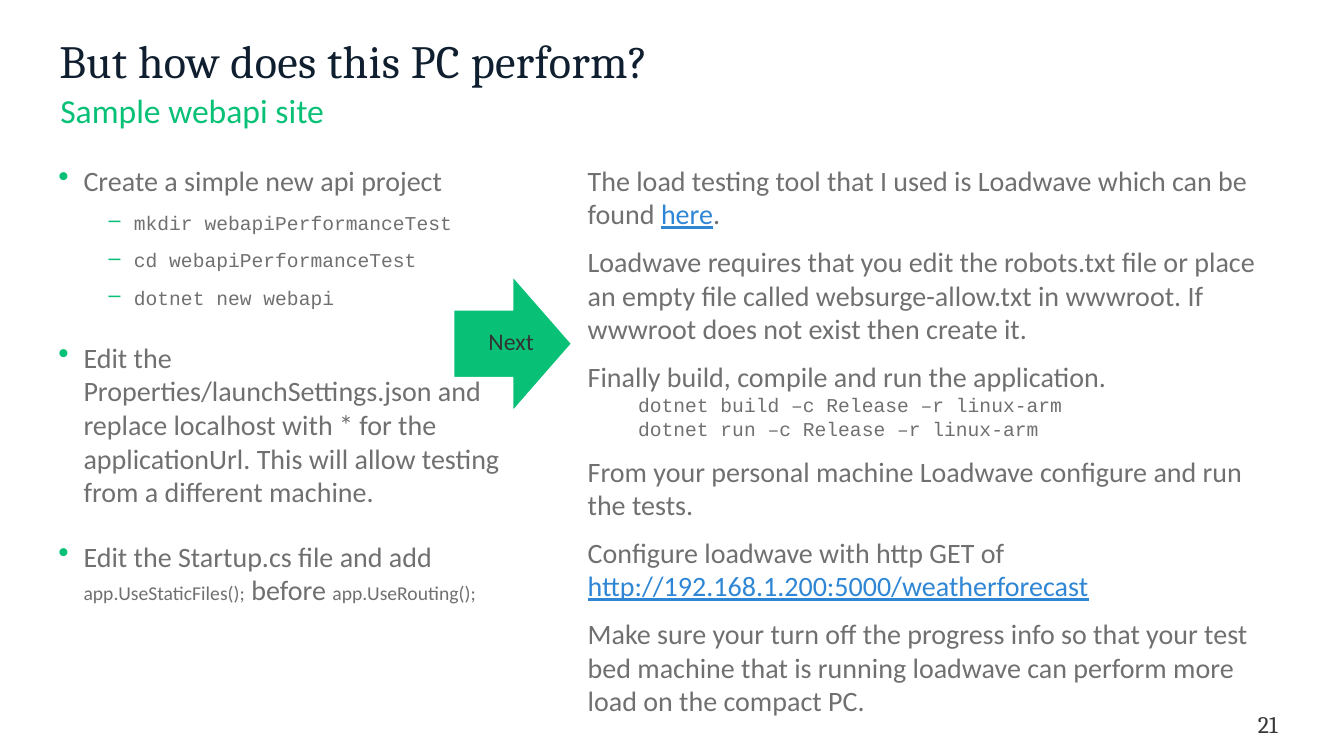
from lxml import etree
from pptx import Presentation
from pptx.dml.color import RGBColor
from pptx.enum.shapes import MSO_SHAPE
from pptx.enum.text import MSO_ANCHOR, PP_ALIGN
from pptx.oxml.ns import qn
from pptx.util import Inches, Pt

RIGHT, CENTER = PP_ALIGN.RIGHT, PP_ALIGN.CENTER
TOP, MIDDLE = MSO_ANCHOR.TOP, MSO_ANCHOR.MIDDLE
ARROW = MSO_SHAPE.RIGHT_ARROW

GREEN, GRAY, BLUE = "08C177", "707070", "2F86D5"
NAVY, DARK, CHARCOAL, WHITE = "101F2F", "333333", "383838", "FFFFFF"

# Span styles
BODY = dict(size=20, font="Calibri", color=GRAY)
SMALL = dict(BODY, size=14)
CODE = dict(SMALL, font="Courier New")
LINK = dict(BODY, color=BLUE, underline=True)

# Paragraph styles
BULLET = dict(bullet="•", left=0.25, before=22)
DASH = dict(bullet="–", left=0.75, before=10)
PLAIN = dict(before=10)
TIGHT = dict(before=0)

# Each paragraph: its style, then its spans as (text, style)
STEPS = [
    (BULLET, [("Create a simple new api project", BODY)]),
    (DASH, [("mkdir webapiPerformanceTest", CODE)]),
    (DASH, [("cd webapiPerformanceTest", CODE)]),
    (DASH, [("dotnet new webapi", CODE)]),
    (BULLET, [("Edit the Properties/launchSettings.json and replace localhost with * "
               "for the applicationUrl. This will allow testing from a different machine.", BODY)]),
    (BULLET, [("Edit the Startup.cs file and add ", BODY), ("app.UseStaticFiles();", SMALL),
              (" before ", BODY), ("app.UseRouting();", SMALL)]),
]
LOAD_TEST = [
    (PLAIN, [("The load testing tool that I used is Loadwave which can be found ", BODY),
             ("here", LINK), (".", BODY)]),
    (PLAIN, [("Loadwave requires that you edit the robots.txt file or place an empty file called "
              "websurge-allow.txt in wwwroot. If wwwroot does not exist then create it.", BODY)]),
    (PLAIN, [("Finally build, compile and run the application.", BODY)]),
    (TIGHT, [("\tdotnet build –c Release –r linux-arm", CODE)]),
    (TIGHT, [("\tdotnet run –c Release –r linux-arm", CODE)]),
    (PLAIN, [("From your personal machine Loadwave configure and run the tests.", BODY)]),
    (PLAIN, [("Configure loadwave with http GET of ", BODY),
             ("http://192.168.1.200:5000/weatherforecast", LINK)]),
    (PLAIN, [("Make sure your turn off the progress info so that your test bed machine that is "
              "running loadwave can perform more load on the compact PC.", BODY)]),
]
TITLE = "But how does this PC perform?"
SUBTITLE = "Sample webapi site"
PAGE_NUMBER = "21"
NEXT = "Next"


def rgb(color):
    return RGBColor.from_string(color)


def add_bullet(para, mark, left):
    """Give the paragraph a green mark that hangs a quarter inch left of its text."""
    props = para._p.get_or_add_pPr()
    props.set("marL", str(Inches(left)))
    props.set("indent", str(Inches(-0.25)))
    color = etree.SubElement(props, qn("a:buClr"))
    etree.SubElement(color, qn("a:srgbClr"), val=GREEN)
    etree.SubElement(props, qn("a:buSzPct"), val="110000")
    etree.SubElement(props, qn("a:buChar"), char=mark)


def add_span(para, text, size, font, color, underline=None, spacing=None):
    span = para.add_run()
    span.text = text
    span.font.size = Pt(size)
    span.font.name = font
    span.font.color.rgb = rgb(color)
    span.font.underline = underline
    if spacing:
        span.font._element.set("spc", str(round(spacing * 100)))


def add_text(shapes, place, paragraphs, anchor=TOP, align=None, line_spacing=None):
    box = shapes.add_textbox(*map(Inches, place))
    frame = box.text_frame
    frame.word_wrap = True
    frame.vertical_anchor = anchor
    for index, (style, spans) in enumerate(paragraphs):
        para = frame.add_paragraph() if index else frame.paragraphs[0]
        if "bullet" in style:
            add_bullet(para, style["bullet"], style["left"])
        para.space_before = Pt(style["before"] if index else 0)
        para.alignment = align
        para.line_spacing = line_spacing
        for text, span_style in spans:
            add_span(para, text, **span_style)
    return box


def add_line(shapes, place, text, size, font, color, spacing=None, **layout):
    """Add a text box that holds one line in one format."""
    style = dict(size=size, font=font, color=color, spacing=spacing)
    return add_text(shapes, place, [(TIGHT, [(text, style)])], **layout)


def add_next_arrow(page):
    group = page.shapes.add_group_shape()
    arrow = group.shapes.add_shape(ARROW, *map(Inches, (4.5, 2.74, 1.17, 1.34)))
    arrow.shadow.inherit = False
    arrow.fill.solid()
    arrow.fill.fore_color.rgb = rgb(GREEN)
    arrow.line.color.rgb = rgb(WHITE)
    arrow.line.width = Pt(1)
    label = add_line(group.shapes, (4.59, 3.07, 0.96, 0.67), NEXT, 17, "Calibri", DARK,
                     anchor=MIDDLE, align=CENTER, line_spacing=0.9)
    frame = label.text_frame
    frame.margin_left = frame.margin_right = 0
    frame.margin_top = frame.margin_bottom = Inches(0.19)


def main():
    deck = Presentation()
    deck.slide_width, deck.slide_height = Inches(13.33), Inches(7.5)
    page = deck.slides.add_slide(deck.slide_layouts[6])
    shapes = page.shapes
    add_line(shapes, (12.19, 7.06, 0.58, 0.25), PAGE_NUMBER, 17, "Cambria", CHARCOAL,
             anchor=MIDDLE, align=RIGHT)
    add_text(shapes, (0.48, 1.57, 4.75, 5.02), STEPS)
    add_line(shapes, (0.5, 0.87, 12.2, 0.59), SUBTITLE, 24, "Calibri", GREEN, line_spacing=0.95)
    add_line(shapes, (0.49, 0.27, 12.21, 0.64), TITLE, 33, "Cambria", NAVY, spacing=0.3)
    add_text(shapes, (5.73, 1.57, 7.12, 5.02), LOAD_TEST)
    add_next_arrow(page)
    deck.save("out.pptx")


if __name__ == "__main__":
    main()
